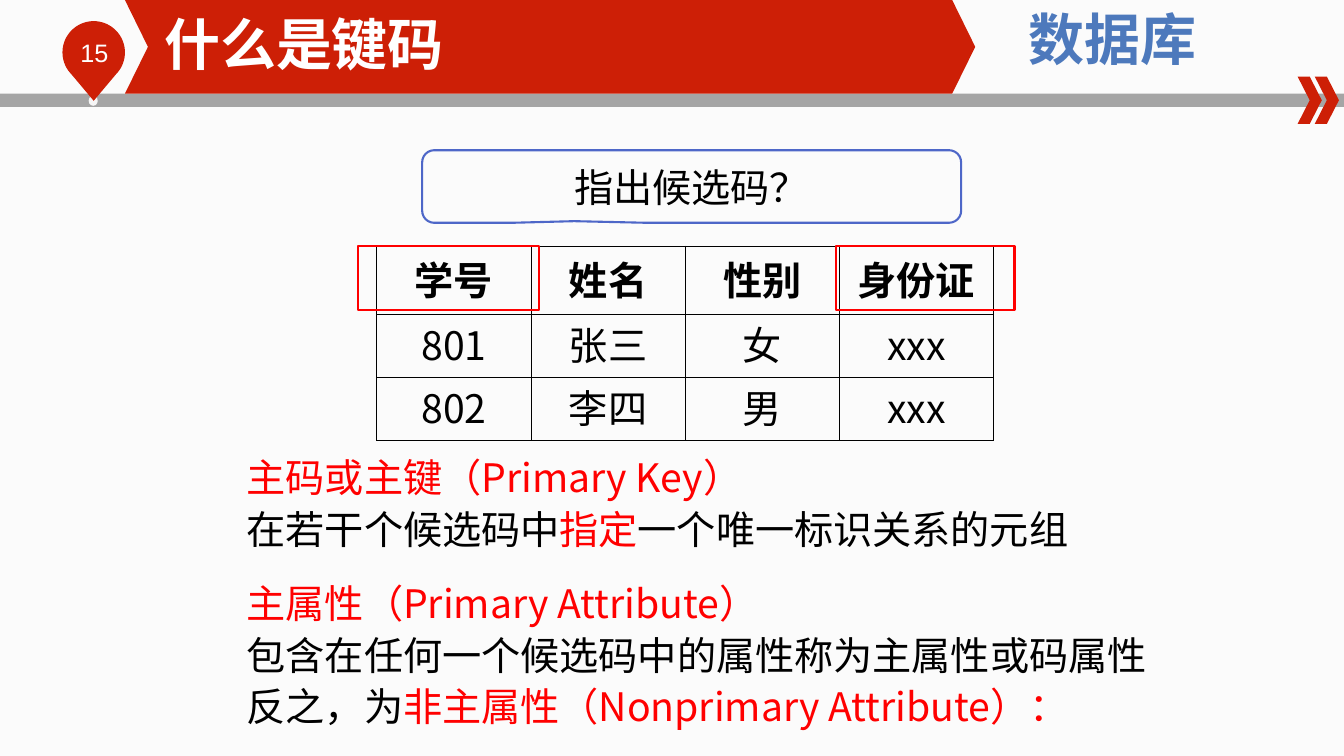
from math import cos, radians, sin

from lxml.etree import SubElement
from pptx import Presentation
from pptx.dml.color import RGBColor
from pptx.enum.shapes import MSO_SHAPE
from pptx.enum.text import MSO_ANCHOR, PP_ALIGN
from pptx.oxml.ns import qn
from pptx.util import Inches, Pt

COLORS = {
    "paper": "FBFBFB", "banner": "CD1F06", "bar": "A5A5A5", "dot": "F6F6F6",
    "white": "FFFFFF", "course": "4D79BC", "callout": "4E67C8",
    "text": "000000", "accent": "FF0000",
}
SANS = "Noto Sans CJK SC"
ARIAL = "Arial"


def color(name):
    return RGBColor.from_string(COLORS[name])


def style(span, size, ink, face=SANS, bold=False):
    span.font.size = Pt(size)
    span.font.bold = bold
    span.font.name = face
    span.font.color.rgb = color(ink)
    SubElement(span.font._element, qn("a:ea")).set("typeface", SANS)


def add_box(page, kind, left, top, width, height, fill=None, line=None, adjust=()):
    box = page.shapes.add_shape(
        kind, Inches(left), Inches(top), Inches(width), Inches(height))
    finish(box, fill, line)
    for index, value in enumerate(adjust):
        box.adjustments[index] = value
    return box


def finish(box, fill, line=None):
    box.shadow.inherit = False
    if fill:
        box.fill.solid()
        box.fill.fore_color.rgb = color(fill)
    else:
        box.fill.background()
    if line:
        box.line.color.rgb = color(line)
        box.line.width = Pt(1.5)
    else:
        box.line.fill.background()


def add_text(page, left, top, width, height, lines, size=28, face=SANS,
             bold=False, align=PP_ALIGN.LEFT, spacing=None):
    """Each line is a list of (text, color name) spans."""
    box = page.shapes.add_textbox(
        Inches(left), Inches(top), Inches(width), Inches(height))
    frame = box.text_frame
    frame.word_wrap = True
    for index, spans in enumerate(lines):
        para = frame.add_paragraph() if index else frame.paragraphs[0]
        para.alignment = align
        if spacing:
            para.line_spacing = Pt(spacing)
        for text, ink in spans:
            span = para.add_run()
            span.text = text
            style(span, size, ink, face, bold)


def add_pin(page, left, top, radius, number):
    # Three quarters of a circle closed by a point below
    center_x, center_y = left + radius, top + radius
    arc = [(center_x + radius * cos(radians(angle)),
            center_y + radius * sin(radians(angle)))
           for angle in range(135, 406, 5)]
    tip = (center_x, top + 0.79)
    builder = page.shapes.build_freeform(
        Inches(tip[0]), Inches(tip[1]))
    builder.add_line_segments([(Inches(x), Inches(y)) for x, y in arc], close=True)
    finish(builder.convert_to_shape(), "banner")
    add_text(page, left + 0.08, top + 0.11, 0.76, 0.4,
             [[(number, "white")]], size=18, face=ARIAL)


def add_header(page, width, title_text):
    # Bar, page pin and paired arrows
    add_box(page, MSO_SHAPE.RECTANGLE, 0, 0.93, width, 0.13, "bar")
    add_box(page, MSO_SHAPE.OVAL, 0.88, 0.95, 0.09, 0.1, "dot")
    add_pin(page, 0.62, 0.21, 0.31, "15")
    for left in (width - 0.46, width - 0.29):
        add_box(page, MSO_SHAPE.CHEVRON, left, 0.76, 0.24, 0.47, "banner", adjust=[0.5])
    # Banner, course name and title
    add_box(page, MSO_SHAPE.CHEVRON, 1.24, 0, 8.44, 0.93, "banner", adjust=[0.246])
    add_text(page, 9.68, 0, 2.72, 0.77, [[("数据库", "course")]],
             size=40, bold=True, align=PP_ALIGN.CENTER)
    title = page.shapes.title
    title.left, title.top = Inches(1.63), Inches(0.09)
    title.width, title.height = Inches(6.61), Inches(0.67)
    frame = title.text_frame
    frame.text = title_text
    frame.margin_left = frame.margin_right = frame.margin_top = frame.margin_bottom = 0
    frame.vertical_anchor = MSO_ANCHOR.MIDDLE
    frame.paragraphs[0].alignment = PP_ALIGN.LEFT
    style(frame.paragraphs[0].runs[0], 40, "white", ARIAL, True)
    page.shapes._spTree.append(title._element)  # bring above the banner


def add_borders(cell):
    properties = cell._tc.get_or_add_tcPr()
    for index, side in enumerate(("a:lnL", "a:lnR", "a:lnT", "a:lnB")):
        border = properties.makeelement(qn(side), {"w": str(Pt(0.5))})
        fill = SubElement(border, qn("a:solidFill"))
        SubElement(fill, qn("a:srgbClr")).set("val", COLORS["text"])
        properties.insert(index, border)


def add_student_table(page, left, top, column_width, row_heights, rows):
    table = page.shapes.add_table(
        len(rows), len(rows[0]), Inches(left), Inches(top),
        Inches(column_width * len(rows[0])), Inches(sum(row_heights))).table
    table.first_row = table.horz_banding = False
    for column in table.columns:
        column.width = Inches(column_width)
    for row_index, (row, height) in enumerate(zip(rows, row_heights)):
        table.rows[row_index].height = Inches(height)
        for column_index, text in enumerate(row):
            cell = table.cell(row_index, column_index)
            cell.text_frame.text = text
            cell.margin_left = cell.margin_right = cell.margin_top = Inches(0.01)
            cell.margin_bottom = Inches(0.05)
            cell.vertical_anchor = MSO_ANCHOR.MIDDLE
            cell.fill.background()
            add_borders(cell)
            para = cell.text_frame.paragraphs[0]
            para.alignment = PP_ALIGN.CENTER
            style(para.runs[0], 28, "text", SANS if text.isascii() else ARIAL,
                  row_index == 0)


def add_question(page, left, top, width, height, text):
    callout = add_box(page, MSO_SHAPE.ROUNDED_RECTANGULAR_CALLOUT, left, top, width,
                      height, line="callout", adjust=[-0.218, 0.478, 0.167])
    frame = callout.text_frame
    frame.text = text
    frame.vertical_anchor = MSO_ANCHOR.MIDDLE
    frame.paragraphs[0].alignment = PP_ALIGN.CENTER
    style(frame.paragraphs[0].runs[0], 28, "text")


def main():
    deck = Presentation()
    deck.slide_width, deck.slide_height = Inches(13.34), Inches(7.5)
    page = deck.slides.add_slide(deck.slide_layouts[5])
    page.background.fill.solid()
    page.background.fill.fore_color.rgb = color("paper")

    add_header(page, 13.34, "什么是键码")
    add_student_table(page, 3.74, 2.44, 1.53, (0.68, 0.53, 0.53), [
        ("学号", "姓名", "性别", "身份证"),
        ("801", "张三", "女", "xxx"),
        ("802", "李四", "男", "xxx"),
    ])
    add_question(page, 4.19, 1.49, 5.35, 0.72, "指出候选码？")

    # Frames around the candidate keys
    for left, width in ((3.55, 1.8), (8.3, 1.77)):
        add_box(page, MSO_SHAPE.RECTANGLE, left, 2.44, width, 0.64, line="accent")

    # Definitions
    add_text(page, 2.35, 4.4, 8.9, 1.14, [
        [("主码或主键（Primary Key）", "accent")],
        [("在若干个候选码中", "text"), ("指定", "accent"),
         ("一个唯一标识关系的元组", "text")],
    ], spacing=37)
    add_text(page, 2.35, 5.65, 9.31, 1.66, [
        [("主属性（Primary Attribute）", "accent")],
        [("包含在任何一个候选码中的属性称为主属性或码属性", "text")],
        [("反之，为", "text"), ("非主属性（Nonprimary Attribute）：", "accent")],
    ], spacing=37)
    deck.save("out.pptx")


if __name__ == "__main__":
    main()
